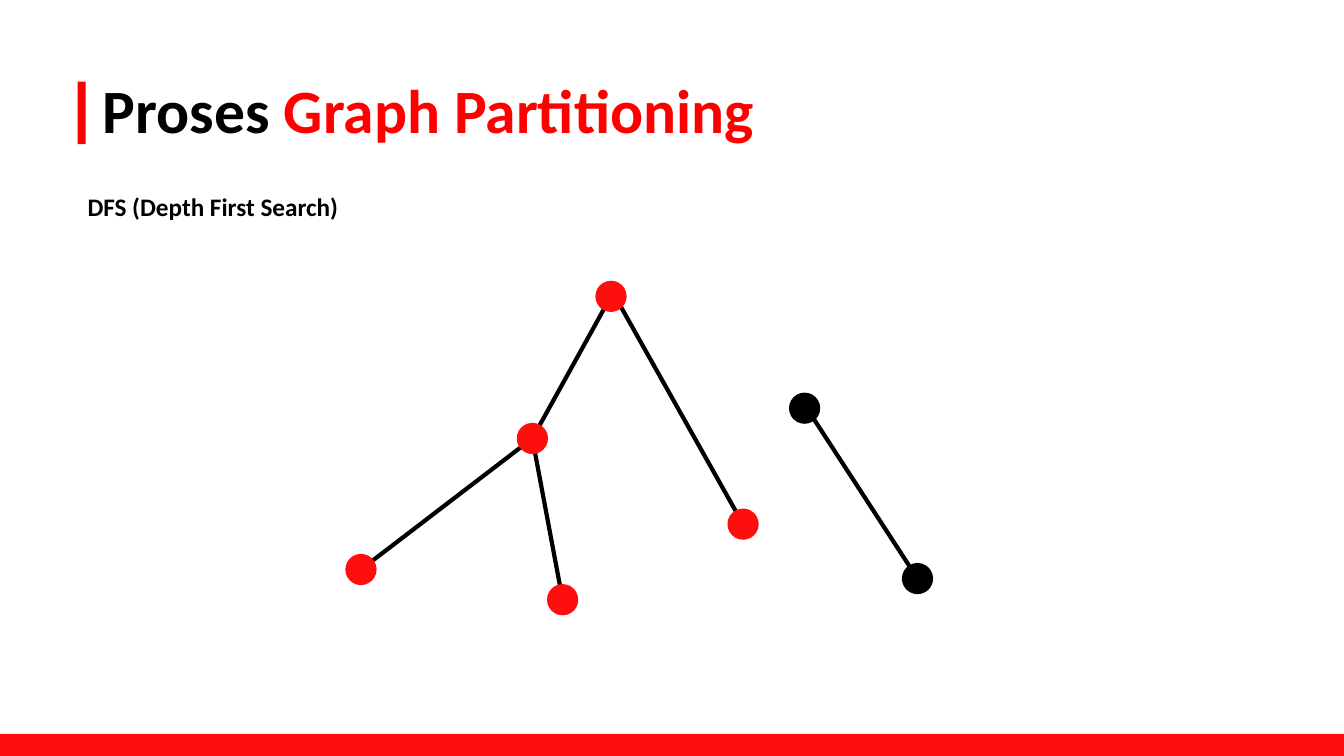
from pptx import Presentation
from pptx.dml.color import RGBColor
from pptx.enum import shapes, text
from pptx.oxml import ns, xmlchemy
from pptx.util import Inches, Pt

COLORS = {"black": "000000", "red": "FF0000", "bright": "FF0E0E"}
DOT = 0.31

# Node centres, relative to the graph's box
NODES = {
    "root": (2.63, 0.15, "bright"),
    "mid": (1.85, 1.56, "bright"),
    "pair": (4.55, 1.26, "black"),
    "left": (0.15, 2.86, "bright"),
    "low": (2.15, 3.16, "bright"),
    "right": (3.94, 2.41, "bright"),
    "end": (5.67, 2.95, "black"),
}
# Edges, with a small shift of the starting point
EDGES = [
    ("root", "mid", 0, 0),
    ("mid", "left", 0, 0),
    ("mid", "low", 0, 0),
    ("root", "right", 0.04, 0),
    ("pair", "end", -0.03, -0.08),
]


def color(name):
    return RGBColor.from_string(COLORS[name])


def add_block(slide, kind, box, fill):
    block = slide.shapes.add_shape(kind, *map(Inches, box))
    block.shadow.inherit = False
    block.fill.solid()
    block.fill.fore_color.rgb = color(fill)
    block.line.fill.background()


def add_text(slide, box, runs, size, font="Calibri", bold=True,
             anchor=text.MSO_ANCHOR.TOP, spacing=1.0):
    """Place one paragraph of (words, colour) runs in a box."""
    frame = slide.shapes.add_textbox(*map(Inches, box)).text_frame
    frame.word_wrap = True
    frame.vertical_anchor = anchor
    para = frame.paragraphs[0]
    para.line_spacing = spacing
    for words, tint in runs:
        run = para.add_run()
        run.text = words
        run.font.name = font
        run.font.size = Pt(size)
        run.font.bold = bold
        run.font.color.rgb = color(tint)


def add_edge(slide, start, end):
    edge = slide.shapes.add_connector(
        shapes.MSO_CONNECTOR.STRAIGHT, *map(Inches, start + end))
    edge.line.color.rgb = color("black")
    edge.line.width = Pt(3)
    props = edge._element.spPr
    props.append(xmlchemy.OxmlElement("a:effectLst"))


def add_header(slide, x, y):
    add_text(slide, (x + 0.15, y, 11.5, 1.45),
             [("Proses ", "black"), ("Graph Partitioning", "red")], 44,
             anchor=text.MSO_ANCHOR.MIDDLE, spacing=0.9)
    add_block(slide, shapes.MSO_SHAPE.RECTANGLE,
              (x, y + 0.41, 0.08, 0.62), "red")
    add_text(slide, (x, y + 1.45, 5.27, 0.4),
             [("DFS (Depth First Search)", "black")], 18)


def add_graph(slide, x, y):
    for start, end, dx, dy in EDGES:
        ax, ay, _ = NODES[start]
        bx, by, _ = NODES[end]
        add_edge(slide, (x + ax + dx, y + ay + dy), (x + bx, y + by))
    for cx, cy, fill in NODES.values():
        add_block(slide, shapes.MSO_SHAPE.OVAL,
                  (x + cx - DOT / 2, y + cy - DOT / 2, DOT, DOT), fill)


def add_footer(slide, width, height, depth=0.22):
    add_block(slide, shapes.MSO_SHAPE.RECTANGLE,
              (0, height - depth, width, depth), "bright")


def main():
    width, height = 13.33, 7.5
    deck = Presentation()
    deck.slide_width, deck.slide_height = Inches(width), Inches(height)
    slide = deck.slides.add_slide(deck.slide_layouts[6])
    add_graph(slide, 3.43, 2.79)
    add_header(slide, 0.77, 0.4)
    add_footer(slide, width, height)
    deck.save("out.pptx")


if __name__ == "__main__":
    main()
